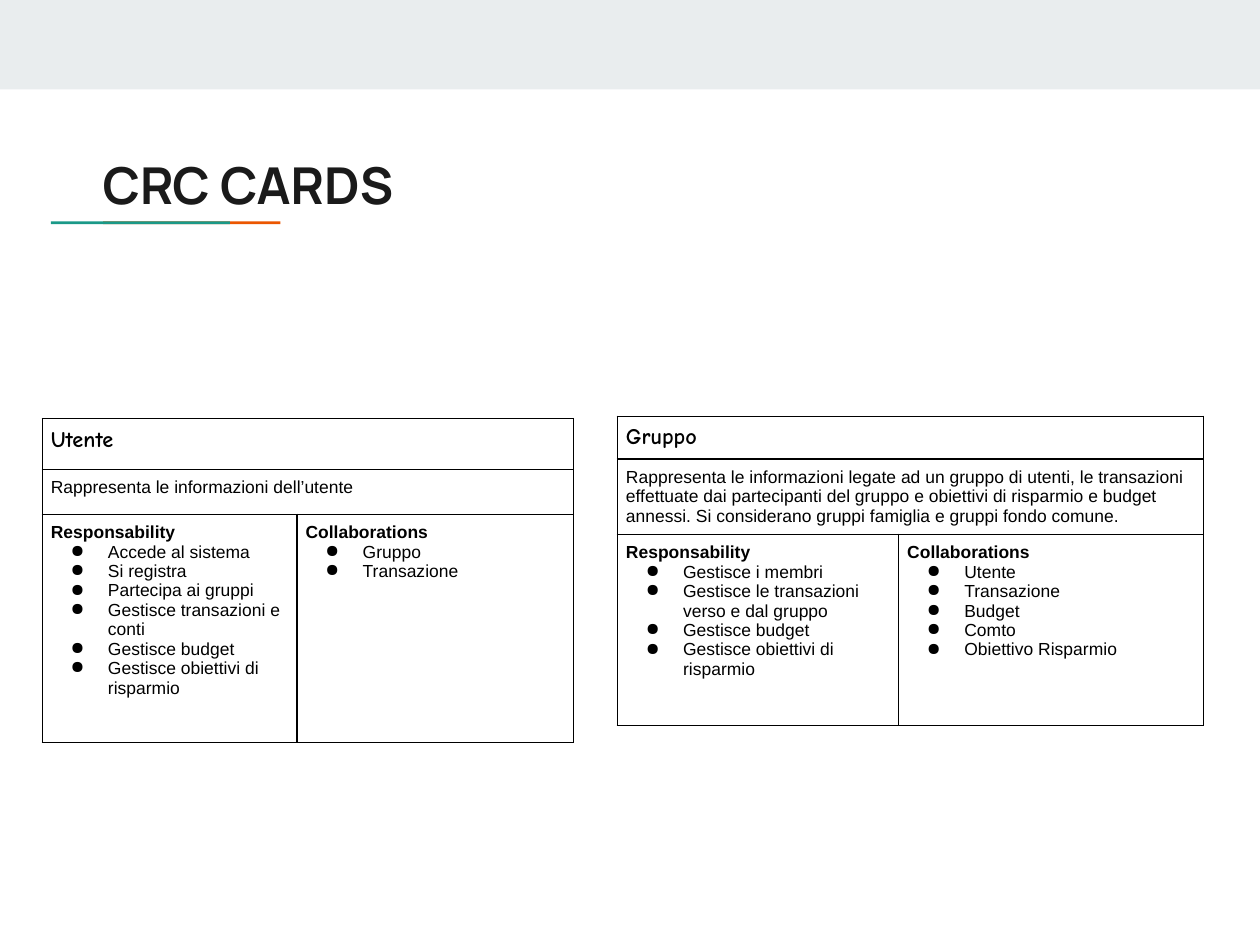
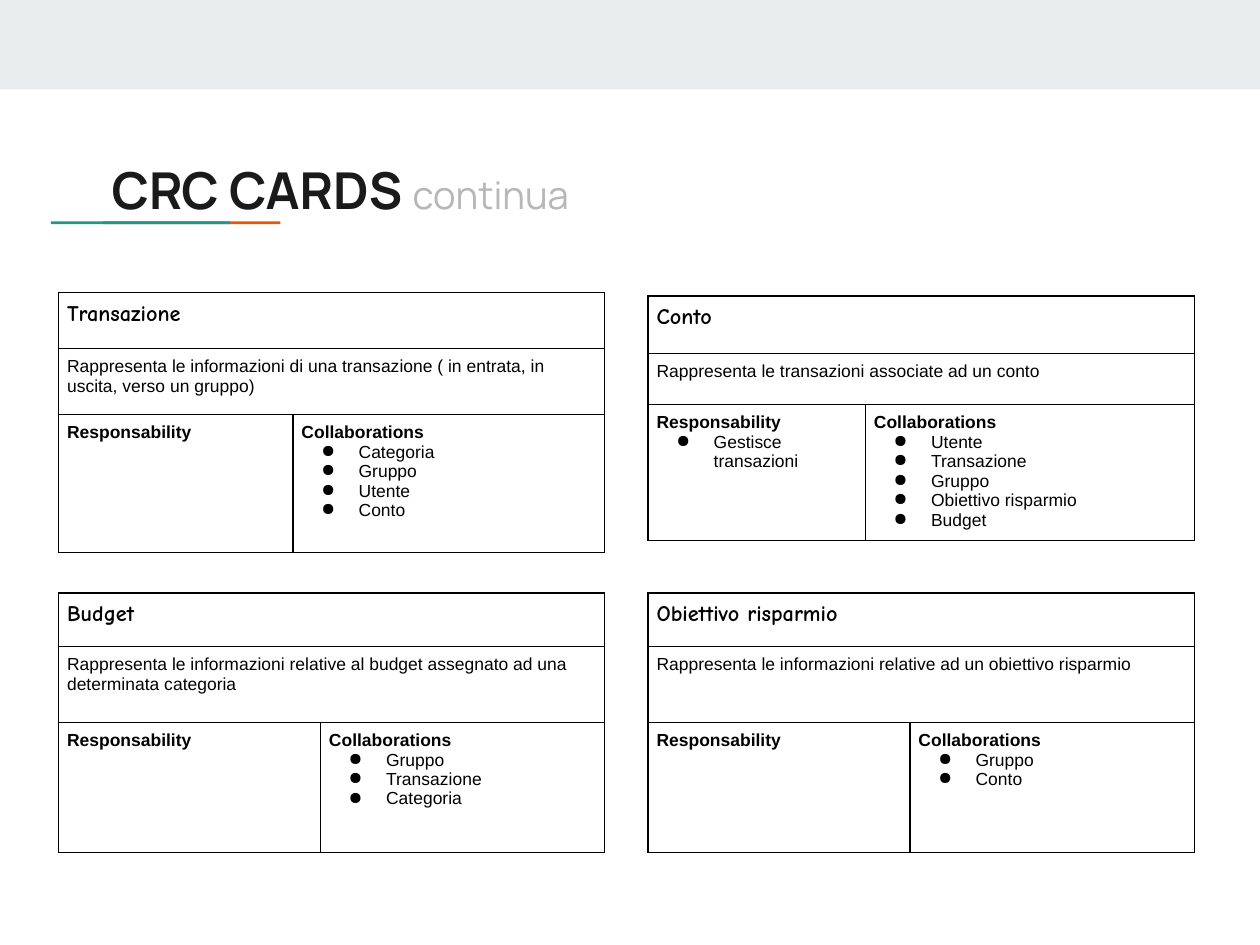
import pptx
import pptx.util
import pptx.dml.color
import pptx.enum.shapes
import pptx.enum.text
import pptx.oxml.ns
from lxml import etree

Cm, Pt = pptx.util.Cm, pptx.util.Pt

HUES = {"band": "E9EDEE", "teal": "1A9988", "orange": "EB5600",
        "title": "1A1A1A", "note": "B7B7B7", "ink": "000000"}
FONTS = {"title": "Manrope", "name": "Comic Neue", "body": "Arial"}
HEADS = "Responsability", "Collaborations"
SIZE = 28, 21
INSET = 0.19
MARGIN, HANG = 1.27, -0.83

# Left, top, width, height and colour, from back to front
BARS = [(0, 0, SIZE[0], 1.99, "band"),
        (2.29, 4.92, 3.94, 0.06, "orange"),
        (1.13, 4.92, 3.98, 0.06, "teal")]

# Title runs are text, size, colour, bold; cards are in cm
SLIDES = [
    {"title": [("CRC CARDS", 32, "title", True)],
     "at": (1.98, 3.12),
     "cards": [
         {"name": "Utente", "at": (0.94, 9.3), "cols": (5.66, 6.15),
          "rows": (1.13, 1, 5.07),
          "about": "Rappresenta le informazioni dell’utente",
          "lists": (["Accede al sistema", "Si registra", "Partecipa ai gruppi",
                     "Gestisce transazioni e conti", "Gestisce budget",
                     "Gestisce obiettivi di risparmio"],
                    ["Gruppo", "Transazione"])},
         {"name": "Gruppo", "at": (13.72, 9.25), "cols": (6.25, 6.78),
          "rows": (0.93, 1.65, 4.24),
          "about": "Rappresenta le informazioni legate ad un gruppo di utenti, "
                   "le transazioni effettuate dai partecipanti del gruppo e "
                   "obiettivi di risparmio e budget annessi. Si considerano "
                   "gruppi famiglia e gruppi fondo comune.",
          "lists": (["Gestisce i membri",
                     "Gestisce le transazioni verso e dal gruppo",
                     "Gestisce budget", "Gestisce obiettivi di risparmio"],
                    ["Utente", "Transazione", "Budget", "Comto",
                     "Obiettivo Risparmio"])}]},
    {"title": [("CRC CARDS ", 32, "title", True),
               ("continua", 24, "note", False)],
     "at": (2.18, 3.23),
     "cards": [
         {"name": "Transazione", "at": (1.3, 6.5), "cols": (5.21, 6.93),
          "rows": (1.24, 1.47, 3.07),
          "about": "Rappresenta le informazioni di una transazione "
                   "( in entrata, in uscita, verso un gruppo)",
          "lists": ([], ["Categoria", "Gruppo", "Utente", "Conto"])},
         {"name": "Conto", "at": (14.4, 6.58), "cols": (4.83, 7.31),
          "rows": (1.27, 1.14, 3.02),
          "about": "Rappresenta le transazioni associate ad un conto",
          "lists": (["Gestisce transazioni"],
                    ["Utente", "Transazione", "Gruppo",
                     "Obiettivo risparmio", "Budget"])},
         {"name": "Budget", "at": (1.3, 13.18), "cols": (5.82, 6.32),
          "rows": (1.19, 1.68, 2.9),
          "about": "Rappresenta le informazioni relative al budget "
                   "assegnato ad una determinata categoria",
          "lists": ([], ["Gruppo", "Transazione", "Categoria"])},
         {"name": "Obiettivo risparmio", "at": (14.4, 13.18),
          "cols": (5.82, 6.32), "rows": (1.19, 1.68, 2.9),
          "about": "Rappresenta le informazioni relative ad un "
                   "obiettivo risparmio",
          "lists": ([], ["Gruppo", "Conto"])}]},
]


def color(key):
    return pptx.dml.color.RGBColor.from_string(HUES[key])


def style(font, size, hue, bold):
    font.size, font.bold = Pt(size), bold
    font.color.rgb = color(hue)


def add_bars(slide):
    for *box, hue in BARS:
        bar = slide.shapes.add_shape(
            pptx.enum.shapes.MSO_SHAPE.RECTANGLE, *map(Cm, box))
        bar.shadow.inherit = False
        bar.fill.solid()
        bar.fill.fore_color.rgb = color(hue)
        bar.line.fill.background()


def set_title(slide, runs, at):
    title = slide.shapes.title
    title.left, title.top = map(Cm, at)
    title.width, title.height = Cm(23.55), Cm(2.18)
    frame = title.text_frame
    frame.word_wrap = True
    frame.auto_size = pptx.enum.text.MSO_AUTO_SIZE.NONE
    frame.vertical_anchor = pptx.enum.text.MSO_ANCHOR.TOP
    frame.margin_left = frame.margin_right = Cm(0.3)
    frame.margin_top = frame.margin_bottom = Cm(0.3)
    para = frame.paragraphs[0]
    para.alignment = pptx.enum.text.PP_ALIGN.LEFT
    para.font.name = FONTS["title"]
    for text, *look in runs:
        run = para.add_run()
        run.text = text
        style(run.font, *look)


def solid(parent, tag):
    """Add a child of the given tag that holds the ink colour."""
    qn = pptx.oxml.ns.qn
    node = etree.SubElement(parent, qn(tag))
    if tag != "a:buClr":
        node.set("w", str(Pt(1)))
        etree.SubElement(etree.SubElement(node, qn("a:solidFill")),
                         qn("a:srgbClr"), val=HUES["ink"])
    else:
        etree.SubElement(node, qn("a:srgbClr"), val=HUES["ink"])


def add_bullet(para):
    props = para._p.get_or_add_pPr()
    props.set("marL", str(Cm(MARGIN)))
    props.set("indent", str(Cm(HANG)))
    solid(props, "a:buClr")
    etree.SubElement(props, pptx.oxml.ns.qn("a:buChar"), char="●")


def fill_cell(cell, lines, font="body", size=11, head=False):
    """Write lines; with head, the first is bold and the rest are bullets."""
    frame = cell.text_frame
    for i, text in enumerate(lines):
        para = frame.add_paragraph() if i else frame.paragraphs[0]
        para.text = text
        if head and i:
            add_bullet(para)
        para.font.name = FONTS[font]
        style(para.font, size, "ink", font == "name" or (head and not i))


def add_card(slide, card):
    cols, rows = card["cols"], card["rows"]
    table = slide.shapes.add_table(
        len(rows), len(cols), *map(Cm, card["at"]),
        Cm(sum(cols)), Cm(sum(rows))).table
    table.first_row = table.horz_banding = False
    for col, wide in zip(table.columns, cols):
        col.width = Cm(wide)
    for row, high in zip(table.rows, rows):
        row.height = Cm(high)
    for cell in table.iter_cells():
        cell.margin_left = cell.margin_right = Cm(INSET)
        cell.margin_top = cell.margin_bottom = Cm(INSET)
        for side in "LRTB":
            solid(cell._tc.get_or_add_tcPr(), "a:ln" + side)
        cell.fill.background()
    for i in range(2):
        table.cell(i, 0).merge(table.cell(i, 1))
    fill_cell(table.cell(0, 0), [card["name"]], "name", 14)
    fill_cell(table.cell(1, 0), [card["about"]])
    for i, (head, items) in enumerate(zip(HEADS, card["lists"])):
        fill_cell(table.cell(2, i), [head] + items, head=True)


def main():
    deck = pptx.Presentation()
    deck.slide_width, deck.slide_height = map(Cm, SIZE)
    for page in SLIDES:
        slide = deck.slides.add_slide(deck.slide_layouts[5])
        add_bars(slide)
        set_title(slide, page["title"], page["at"])
        for card in page["cards"]:
            add_card(slide, card)
    deck.save("out.pptx")


if __name__ == "__main__":
    main()
